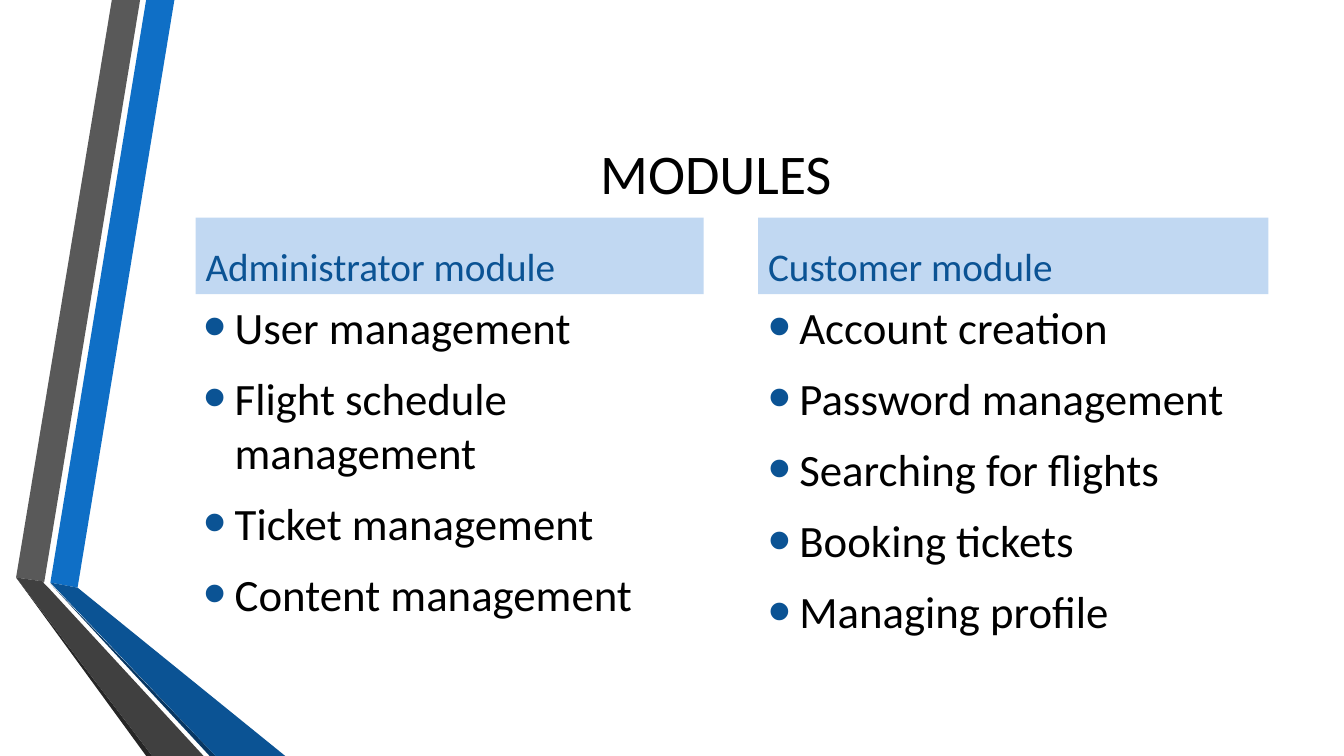
from lxml import etree
from pptx import Presentation
from pptx.dml.color import RGBColor
from pptx.enum import shapes, text
from pptx.oxml import ns
from pptx.util import Inches, Pt

BLACK = RGBColor(0x00, 0x00, 0x00)
BLUE = RGBColor(0x0F, 0x6F, 0xC6)
DEEP_BLUE = RGBColor(0x0B, 0x53, 0x94)
NAVY = RGBColor(0x08, 0x37, 0x63)
PALE_BLUE = RGBColor(0xC1, 0xD8, 0xF2)
GREY = RGBColor(0x59, 0x59, 0x59)
DARK_GREY = RGBColor(0x40, 0x40, 0x40)
CHARCOAL = RGBColor(0x26, 0x26, 0x26)

RIBBONS = [
    (BLUE, [(0.5, 5.78), (0.77, 5.83), (1.73, 0), (1.45, 0)]),
    (GREY, [(1.39, 0), (1.11, 0), (0.16, 5.73), (0.44, 5.77)]),
    (CHARCOAL, [(0.16, 5.73), (1.45, 7.5), (1.51, 7.5)]),
    (NAVY, [(0.5, 5.79), (2.08, 7.5), (2.14, 7.5)]),
    (DEEP_BLUE, [(0.5, 5.78), (2.14, 7.5), (2.83, 7.5), (0.77, 5.83)]),
    (DARK_GREY, [(2.02, 7.5), (0.48, 5.83), (0.43, 5.78), (0.44, 5.77),
                 (0.16, 5.73), (1.51, 7.5)]),
]

HEADING_TOP, HEADING_HEIGHT = 2.16, 0.76
LIST_WIDTH, LIST_HEIGHT = 5.06, 3.42
# heading, heading left, heading width, list left, list items
MODULES = [
    ("Administrator module", 1.94, 5.04, 1.92,
     ["User management", "Flight schedule management",
      "Ticket management", "Content management"]),
    ("Customer module", 7.52, 5.06, 7.52,
     ["Account creation", "Password management", "Searching for flights",
      "Booking tickets", "Managing profile"]),
]


def write(paragraph, words, size, color, align=text.PP_ALIGN.LEFT):
    paragraph.alignment = align
    run = paragraph.add_run()
    run.text = words
    run.font.name = "Calibri"
    run.font.size = Pt(size)
    run.font.color.rgb = color


def add_bullet(paragraph):
    """Give the paragraph a hanging indent and a large blue dot."""
    properties = paragraph._p.get_or_add_pPr()
    properties.set("marL", str(Inches(0.31)))
    properties.set("indent", str(-Inches(0.31)))
    bullet_color = etree.SubElement(properties, ns.qn("a:buClr"))
    etree.SubElement(bullet_color, ns.qn("a:srgbClr"), val=str(DEEP_BLUE))
    etree.SubElement(properties, ns.qn("a:buSzPct"), val="145000")
    etree.SubElement(properties, ns.qn("a:buFont"), typeface="Arial")
    etree.SubElement(properties, ns.qn("a:buChar"), char="•")


deck = Presentation()
deck.slide_width, deck.slide_height = Inches(13.33), Inches(7.5)
slide = deck.slides.add_slide(deck.slide_layouts[5])

for color, corners in RIBBONS:
    points = [(Inches(x), Inches(y)) for x, y in corners]
    outline = slide.shapes.build_freeform(*points[0])
    outline.add_line_segments(points[1:], close=True)
    ribbon = outline.convert_to_shape()
    ribbon.shadow.inherit = False
    ribbon.fill.solid()
    ribbon.fill.fore_color.rgb = color
    ribbon.line.fill.background()

title = slide.shapes.title
title.left, title.top = Inches(1.62), Inches(0.75)
title.width, title.height = Inches(10.96), Inches(1.92)
title.text_frame.auto_size = text.MSO_AUTO_SIZE.NONE
title.text_frame.vertical_anchor = text.MSO_ANCHOR.MIDDLE
write(title.text_frame.paragraphs[0], "MODULES", 40, BLACK, text.PP_ALIGN.CENTER)

for name, heading_left, heading_width, list_left, features in MODULES:
    heading = slide.shapes.add_shape(
        shapes.MSO_SHAPE.RECTANGLE, Inches(heading_left), Inches(HEADING_TOP),
        Inches(heading_width), Inches(HEADING_HEIGHT))
    heading.shadow.inherit = False
    heading.fill.solid()
    heading.fill.fore_color.rgb = PALE_BLUE
    heading.line.fill.background()
    heading.text_frame.word_wrap = True
    heading.text_frame.vertical_anchor = text.MSO_ANCHOR.BOTTOM
    write(heading.text_frame.paragraphs[0], name, 28, DEEP_BLUE)

    feature_list = slide.shapes.add_textbox(
        Inches(list_left), Inches(HEADING_TOP + HEADING_HEIGHT),
        Inches(LIST_WIDTH), Inches(LIST_HEIGHT)).text_frame
    feature_list.word_wrap = True
    for index, feature in enumerate(features):
        item = feature_list.add_paragraph() if index else feature_list.paragraphs[0]
        item.space_before, item.space_after = Pt(6.4), Pt(6)
        add_bullet(item)
        write(item, feature, 32, BLACK)

deck.save("out.pptx")
